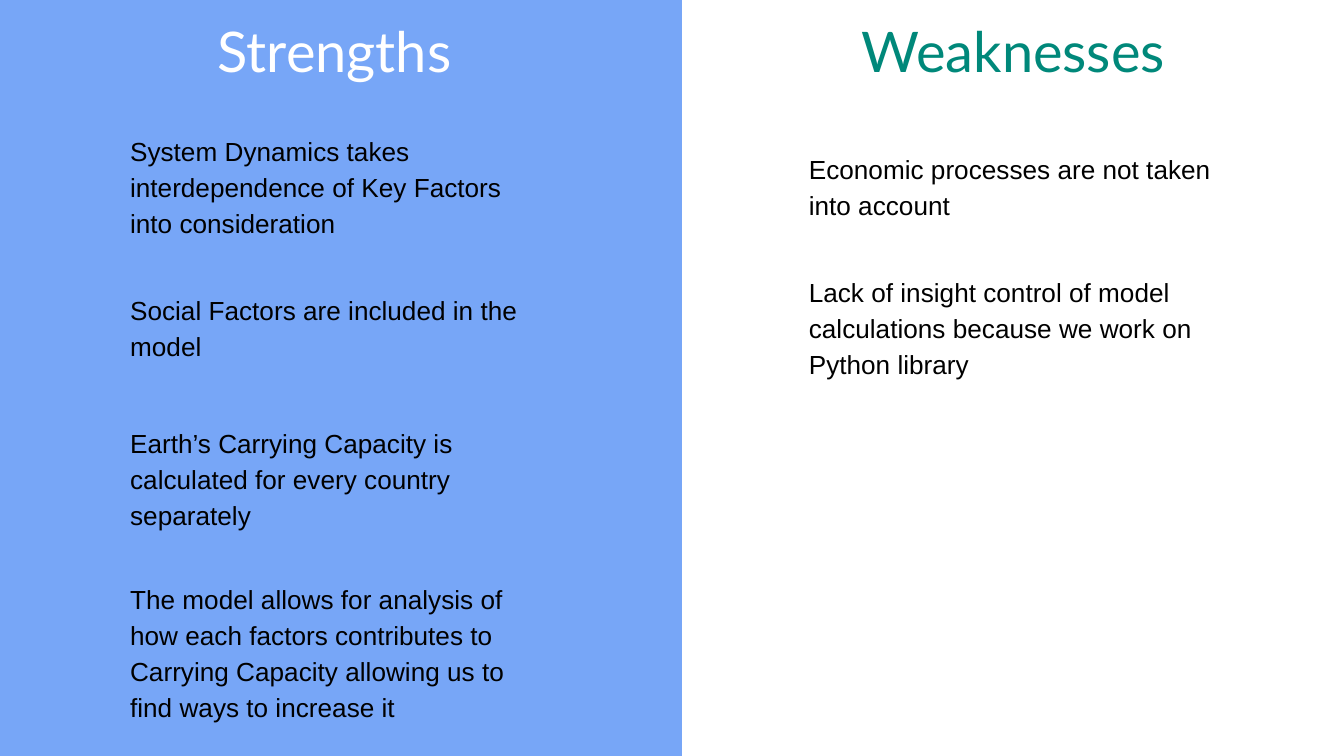
import pptx
import pptx.dml.color
import pptx.enum.shapes
import pptx.enum.text
import pptx.util

Inches = pptx.util.Inches
Pt = pptx.util.Pt
ALIGN = pptx.enum.text.PP_ALIGN

PAGE_WIDTH = 10
PAGE_HEIGHT = PAGE_WIDTH * 9 / 16
COLUMN_WIDTH = 4.95
POINT_TOPS = [0.99, 2.04, 3.16, 4.46]

TITLE_FONT = {"name": "Lato", "size": Pt(30)}
POINT_FONT = {"name": "Arial", "size": Pt(14)}
TITLE_PARA = {"alignment": ALIGN.CENTER}
POINT_PARA = {
    "alignment": ALIGN.LEFT,
    "line_spacing": 1.15,
    "space_before": Pt(12),
    "space_after": Pt(12),
}
FRAME_FORMAT = {
    "word_wrap": True,
    "vertical_anchor": pptx.enum.text.MSO_ANCHOR.MIDDLE,
    "margin_left": Inches(0.1),
    "margin_top": Inches(0.1),
    "margin_right": Inches(0.1),
    "margin_bottom": Inches(0.1),
}

STRENGTHS = [
    "System Dynamics takes interdependence of Key Factors into consideration",
    "Social Factors are included in the model",
    "Earth’s Carrying Capacity is calculated for every country separately",
    "The model allows for analysis of how each factors contributes to "
    "Carrying Capacity allowing us to find ways to increase it",
]
WEAKNESSES = [
    "Economic processes are not taken into account",
    "Lack of insight control of model calculations because we work on Python library",
]


def color(value):
    return pptx.dml.color.RGBColor.from_string(value)


def apply_format(target, values):
    for name, value in values.items():
        setattr(target, name, value)


def add_panel(page, left, width, fill):
    panel = page.shapes.add_shape(
        pptx.enum.shapes.MSO_SHAPE.RECTANGLE,
        Inches(left), 0, Inches(width), Inches(PAGE_HEIGHT),
    )
    panel.shadow.inherit = False
    panel.fill.solid()
    panel.fill.fore_color.rgb = color(fill)
    panel.line.color.rgb = color(fill)
    panel.line.width = Pt(0.75)


def add_text(page, bounds, text, font_format, para_format, font_color):
    box = page.shapes.add_textbox(*map(Inches, bounds))
    apply_format(box.text_frame, FRAME_FORMAT)
    para = box.text_frame.paragraphs[0]
    apply_format(para, para_format)
    span = para.add_run()
    span.text = text
    apply_format(span.font, font_format)
    span.font.color.rgb = color(font_color)


def add_column(page, left, width, title, title_color, points):
    title_bounds = (left + 0.11, 0.11, width - 0.19, 0.52)
    add_text(page, title_bounds, title, TITLE_FONT, TITLE_PARA, title_color)
    for top, point in zip(POINT_TOPS, points):
        point_bounds = (left + 0.87, top, width - 1.71, 0.77)
        add_text(page, point_bounds, point, POINT_FONT, POINT_PARA, "000000")


def main():
    deck = pptx.Presentation()
    deck.slide_width = Inches(PAGE_WIDTH)
    deck.slide_height = Inches(PAGE_HEIGHT)
    page = deck.slides.add_slide(deck.slide_layouts[6])

    add_panel(page, 0, PAGE_WIDTH, "77A6F7")
    add_panel(page, 5.08, PAGE_WIDTH - 5.08, "FFFFFF")
    add_column(page, 0, COLUMN_WIDTH, "Strengths", "FFFFFF", STRENGTHS)
    add_column(page, 5.05, COLUMN_WIDTH, "Weaknesses", "00887A", WEAKNESSES)

    deck.save("out.pptx")


if __name__ == "__main__":
    main()
